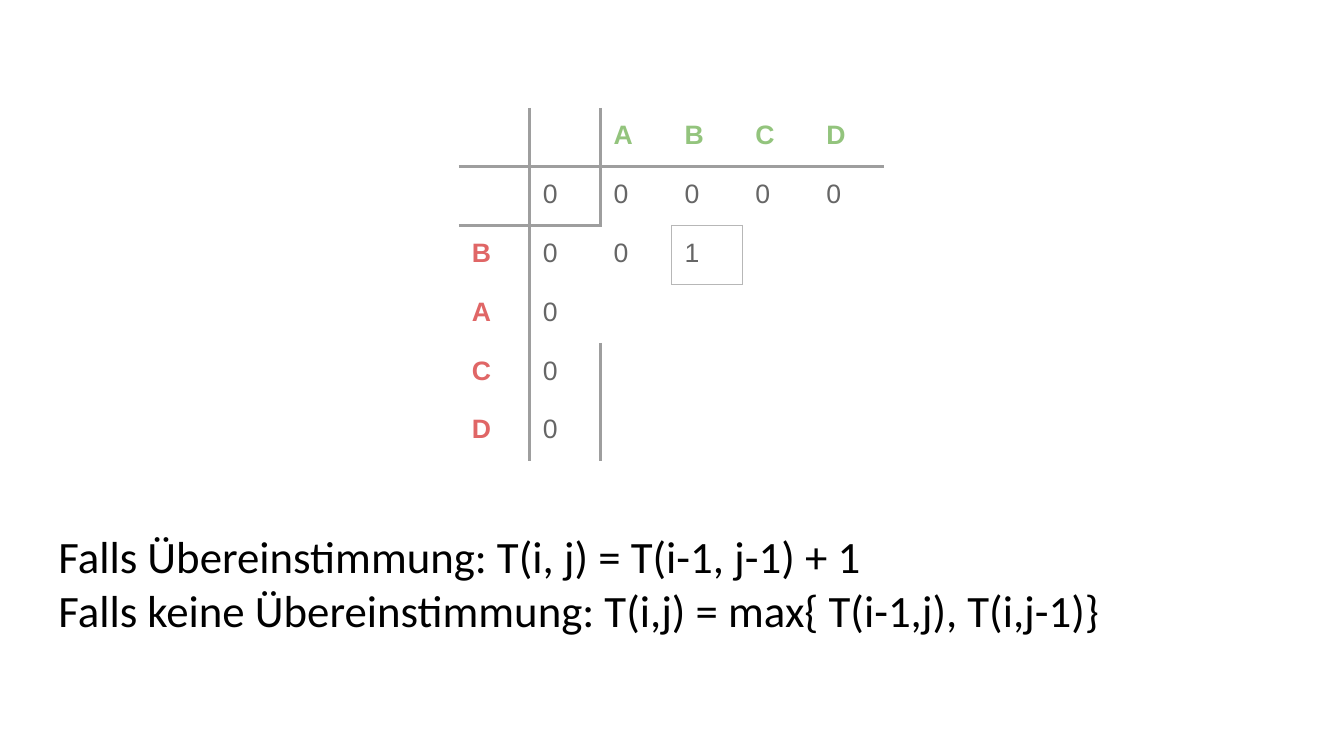
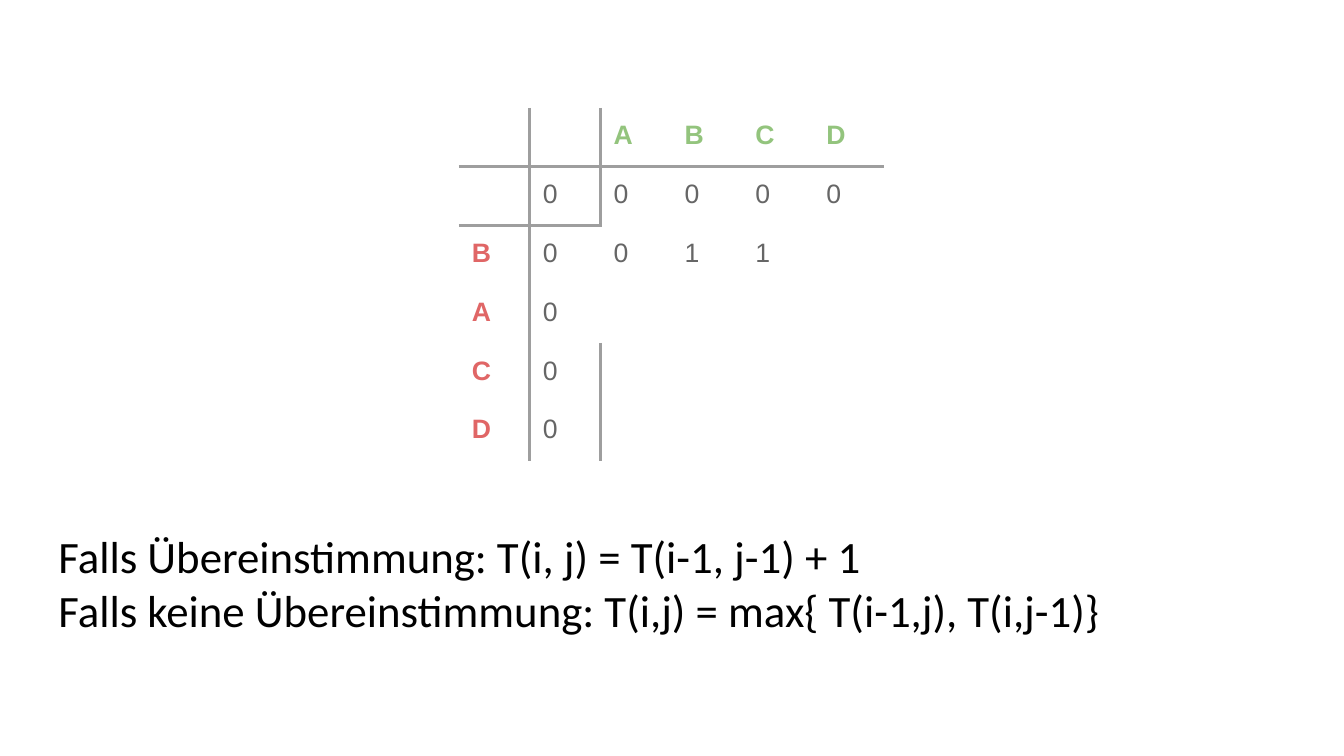
from itertools import product

from lxml.etree import SubElement
from pptx import Presentation
from pptx.dml.color import RGBColor
from pptx.enum.text import MSO_ANCHOR
from pptx.oxml.ns import qn
from pptx.util import Inches, Pt

COLORS = {
    "text": "000000",
    "column": "93C47D",
    "row": "E06666",
    "value": "666666",
    "rule": "9E9E9E",
    "highlight": "B7B7B7",
}
FORMULA_FONT = {"name": "Calibri", "size": Pt(32)}
LETTER_FONT = {"name": "Arial", "size": Pt(19), "bold": True}
VALUE_FONT = {"name": "Arial", "size": Pt(19), "bold": False}
INSET = Inches(0.13)
MARGINS = dict.fromkeys(
    ("margin_left", "margin_right", "margin_top", "margin_bottom"), INSET)
PLAIN_TABLE_STYLE = "{2D5ABB26-0587-4C30-8999-92F81FD0307C}"

MATRIX_BOX = (4.55, 1.07, 4.22, 3.5)
FORMULA_BOX = (0.45, 5.12, 12.42, 0.84)
FORMULAS = (
    "Falls Übereinstimmung: T(i, j) = T(i-1, j-1) + 1",
    "Falls keine Übereinstimmung: T(i,j) = max{ T(i-1,j), T(i,j-1)}",
)
COLUMN_WORD = "ABCD"
ROW_WORD = "BACD"
SIZE = len(COLUMN_WORD) + 2
# Grid line number -> the cells along it that are ruled
VERTICAL_RULES = {1: range(SIZE), 2: (0, 1, 4, 5)}
HORIZONTAL_RULES = {1: range(SIZE), 2: (0, 1)}

# Computed entries of the first word row, and the cell being explained
STEPS = (
    {"entries": "01", "current": (2, 3)},
    {"entries": "011", "current": None},
)


def apply_format(target, values):
    for name, value in values.items():
        setattr(target, name, value)


def write(paragraph, text, font_format, color):
    run = paragraph.add_run()
    run.text = text
    apply_format(run.font, font_format)
    run.font.color.rgb = RGBColor.from_string(COLORS[color])


def cell_sides(row, col):
    """Map each side of a cell to the grid edge it shares with its neighbour."""
    return {
        "L": ("vertical", col, row),
        "R": ("vertical", col + 1, row),
        "T": ("horizontal", row, col),
        "B": ("horizontal", row + 1, col),
    }


def ruled_edges(current):
    """Map every drawn grid edge to its colour name and width in points."""
    edges = {}
    for direction, rules in (("vertical", VERTICAL_RULES),
                             ("horizontal", HORIZONTAL_RULES)):
        for line, positions in rules.items():
            for position in positions:
                edges[direction, line, position] = ("rule", 2.25)
    if current:
        for edge in cell_sides(*current).values():
            edges[edge] = ("highlight", 0.75)
    return edges


def draw_borders(cell, sides, edges):
    properties = cell._tc.get_or_add_tcPr()
    for side, edge in sides.items():
        line = SubElement(properties, qn(f"a:ln{side}"))
        if edge in edges:
            color, width = edges[edge]
            line.set("w", str(Pt(width)))
            fill = SubElement(line, qn("a:solidFill"))
            SubElement(fill, qn("a:srgbClr")).set("val", COLORS[color])
        else:
            SubElement(line, qn("a:noFill"))


def matrix_texts(entries):
    """Map cell positions to text, font format and colour name."""
    texts = {}
    for col, letter in enumerate(COLUMN_WORD, 2):
        texts[0, col] = (letter, LETTER_FONT, "column")
    for row, letter in enumerate(ROW_WORD, 2):
        texts[row, 0] = (letter, LETTER_FONT, "row")
    for index in range(1, SIZE):
        texts[1, index] = texts[index, 1] = ("0", VALUE_FONT, "value")
    for col, entry in enumerate(entries, 2):
        texts[2, col] = (entry, VALUE_FONT, "value")
    return texts


def add_matrix(slide, box, entries, current):
    left, top, width, height = map(Inches, box)
    matrix = slide.shapes.add_table(SIZE, SIZE, left, top, width, height).table
    apply_format(matrix, {"first_row": False, "horz_banding": False})
    matrix._tbl.tblPr.find(qn("a:tableStyleId")).text = PLAIN_TABLE_STYLE
    for column in matrix.columns:
        column.width = width // SIZE
    for row in matrix.rows:
        row.height = height // SIZE

    texts = matrix_texts(entries)
    edges = ruled_edges(current)
    for row, col in product(range(SIZE), repeat=2):
        cell = matrix.cell(row, col)
        apply_format(cell, {**MARGINS, "vertical_anchor": MSO_ANCHOR.TOP})
        draw_borders(cell, cell_sides(row, col), edges)
        cell.fill.background()
        if (row, col) in texts:
            write(cell.text_frame.paragraphs[0], *texts[row, col])


def add_formulas(slide, box):
    frame = slide.shapes.add_textbox(*map(Inches, box)).text_frame
    apply_format(frame, {**MARGINS, "word_wrap": True,
                         "vertical_anchor": MSO_ANCHOR.TOP})
    for index, formula in enumerate(FORMULAS):
        paragraph = frame.add_paragraph() if index else frame.paragraphs[0]
        write(paragraph, formula, FORMULA_FONT, "text")


def add_step_slide(deck, step):
    slide = deck.slides.add_slide(deck.slide_layouts[6])
    add_formulas(slide, FORMULA_BOX)
    add_matrix(slide, MATRIX_BOX, **step)


def main():
    deck = Presentation()
    apply_format(deck, {"slide_width": Inches(13.33),
                        "slide_height": Inches(7.5)})
    for step in STEPS:
        add_step_slide(deck, step)
    deck.save("out.pptx")


if __name__ == "__main__":
    main()
